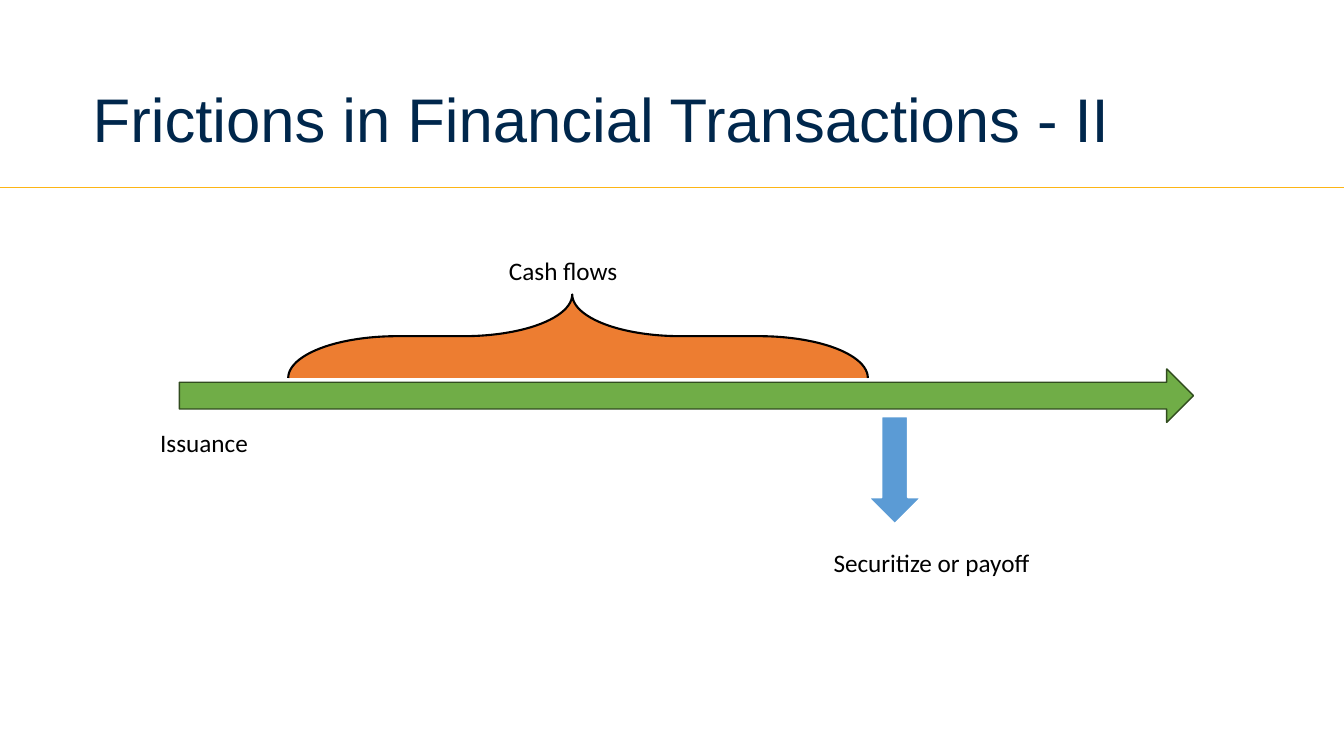
"""Build a slide showing the timeline of a financial transaction."""
from lxml import etree
from pptx import Presentation
from pptx import util as u
from pptx.dml.color import RGBColor
from pptx.enum import shapes, text
from pptx.oxml.ns import qn

WIDTH, HEIGHT = u.Inches(13.333), u.Inches(7.5)
COLORS = {
    "navy": "00274C", "gold": "FDB515", "green": "70AD47", "moss": "314C1F",
    "orange": "ED7D31", "blue": "5B9BD5", "black": "000000", "white": "FFFFFF",
}
KIND = shapes.MSO_SHAPE


def color(name):
    """Return the named colour."""
    return RGBColor.from_string(COLORS[name])


def area(left, top, width, height):
    """Turn percentages of the slide into lengths."""
    return [int(share * side / 100) for share, side in
            zip((left, top, width, height), (WIDTH, HEIGHT) * 2)]


def set_font(paragraph, face, size, ink):
    """Set face, size and colour of a paragraph."""
    paragraph.font.name = face
    paragraph.font.size = u.Pt(size)
    paragraph.font.color.rgb = color(ink)


def write_heading(slide, words):
    """Place and format the title."""
    heading = slide.shapes.title
    heading.left, heading.top, heading.width, heading.height = area(6.9, 6, 86.25, 18.67)
    frame = heading.text_frame
    frame.text = words
    frame.auto_size = text.MSO_AUTO_SIZE.NONE
    frame.vertical_anchor = text.MSO_ANCHOR.BOTTOM
    frame.margin_left, frame.margin_right = 0, u.Inches(0.1)
    frame.margin_top, frame.margin_bottom = u.Inches(0.2), u.Inches(0.3)
    line = frame.paragraphs[0]
    line.alignment = text.PP_ALIGN.LEFT
    line.line_spacing = 0.9
    set_font(line, "Arial", 44, "navy")


def add_rule(slide, row):
    """Draw a thin line across the whole slide."""
    height = int(HEIGHT * row / 100)
    rule = slide.shapes.add_connector(shapes.MSO_CONNECTOR.STRAIGHT, 0, height, WIDTH, height)
    rule.line.color.rgb = color("gold")
    rule.line.width = u.Pt(0.5)
    etree.SubElement(rule._element.spPr, qn("a:effectLst"))


def add_figure(slide, kind, place, fill, edge, weight):
    """Add a filled and outlined preset shape."""
    figure = slide.shapes.add_shape(kind, *area(*place))
    figure.shadow.inherit = False
    figure.fill.solid()
    figure.fill.fore_color.rgb = color(fill)
    figure.line.color.rgb = color(edge)
    figure.line.width = u.Pt(weight)
    return figure


def add_label(slide, words, left, top, width):
    """Add a one-line caption."""
    frame = slide.shapes.add_textbox(*area(left, top, width, 5.33)).text_frame
    frame.word_wrap = True
    frame.auto_size = text.MSO_AUTO_SIZE.SHAPE_TO_FIT_TEXT
    frame.text = words
    set_font(frame.paragraphs[0], "Calibri", 18, "black")


def main():
    """Build and save the slide."""
    deck = Presentation()
    deck.slide_width, deck.slide_height = WIDTH, HEIGHT
    slide = deck.slides.add_slide(deck.slide_layouts[5])
    add_rule(slide, 24.8)
    write_heading(slide, "Frictions in Financial Transactions - II")

    add_figure(slide, KIND.RIGHT_ARROW, (13.35, 48.8, 75.45, 7.07), "green", "moss", 1)
    add_label(slide, "Issuance", 11.18, 55.87, 9.38)

    cash_flows = add_figure(slide, KIND.RIGHT_BRACE, (39.9, 6.13, 6.22, 76.67),
                            "orange", "black", 1.5)
    cash_flows.rotation = 270
    cash_flows.adjustments[0] = 1.3
    cash_flows.adjustments[1] = 0.49
    add_label(slide, "Cash flows", 37.13, 33.07, 12.9)

    add_figure(slide, KIND.DOWN_ARROW, (64.58, 55.07, 3.98, 14.27), "blue", "white", 1.5)
    add_label(slide, "Securitize or payoff", 61.28, 71.73, 21.53)
    deck.save("out.pptx")


if __name__ == "__main__":
    main()
